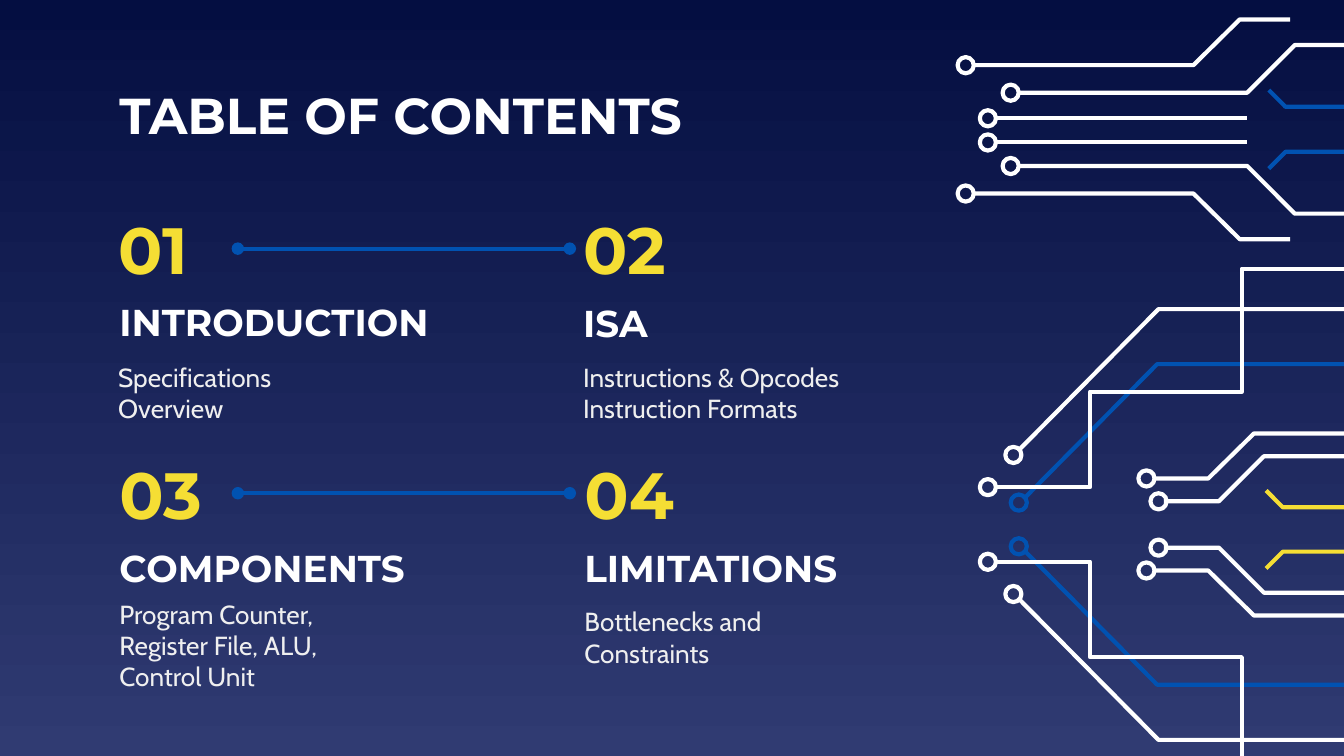
from lxml import etree
from pptx import Presentation
from pptx import util as u
from pptx.dml.color import RGBColor
from pptx.enum import shapes, text
from pptx.oxml.ns import qn

WIDTH = u.Inches(10)
HEIGHT = WIDTH * 9 // 16
CELL = WIDTH // 1000
BLEED = 1020
STROKE = u.Pt(2.25)
RING = 12

WHITE = RGBColor(0xFF, 0xFF, 0xFF)
SOFT = RGBColor(0xEF, 0xEF, 0xEF)
YELLOW = RGBColor(0xF5, 0xDE, 0x34)
BLUE = RGBColor(0x01, 0x52, 0xB1)
NIGHT = RGBColor(0x04, 0x0E, 0x41)
DUSK = RGBColor(0x30, 0x3B, 0x72)

SECTIONS = [
    (78, 156, "01", "INTRODUCTION", (79, 214, 276, 50), ["Specifications", "Overview"]),
    (424, 156, "02", "ISA", (424, 214, 241, 52),
     ["Instructions & Opcodes", "Instruction Formats"]),
    (79, 338, "03", "COMPONENTS", (79, 396, 241, 52),
     ["Program Counter,", "Register File, ALU,", "Control Unit"]),
    (425, 338, "04", "LIMITATIONS", (425, 396, 241, 52),
     ["Bottlenecks and", "Constraints"]),
]

UPPER_AXIS, CENTER_AXIS, LOWER_AXIS, ACCENT_AXIS = 96.25, 97, 390.25, 394

TRACES = [
    (LOWER_AXIS, WHITE, (853, 356),
     [(858, 356), (899, 356), (933, 322.5), (BLEED, 322.5)]),
    (LOWER_AXIS, WHITE, (862, 373),
     [(866, 373), (907, 373), (940.5, 339.5), (BLEED, 339.5)]),
    (ACCENT_AXIS, YELLOW, None, [(942, 365), (954.5, 377.5), (1011, 377.5)]),
    (UPPER_AXIS, BLUE, None, [(944, 67), (956.5, 79.5), (1013, 79.5)]),
    (LOWER_AXIS, BLUE, (758, 374), [(762, 371), (861, 271), (1019, 271)]),
    (LOWER_AXIS, WHITE, (735, 362.5),
     [(741, 362.5), (811, 362.5), (811, 291.5), (924, 291.5), (924, 200), (BLEED, 200)]),
    (LOWER_AXIS, WHITE, (754, 338.5), [(758, 335), (862, 230), (BLEED, 230)]),
    (UPPER_AXIS, WHITE, (718.5, 48.5),
     [(724, 48.5), (888, 48.5), (922.5, 14.5), (960, 14.5)]),
    (UPPER_AXIS, WHITE, (752, 69),
     [(758, 69), (928, 69), (963.5, 33.5), (1025, 33.5)]),
    (CENTER_AXIS, WHITE, (735, 88), [(741, 88), (928, 88)]),
]


def grid(*cells):
    return [round(cell * CELL) for cell in cells]


def paint_background(page):
    fill = page.background.fill
    fill.gradient()
    fill.gradient_angle = 270
    for stop, color, position in zip(fill.gradient_stops, (NIGHT, DUSK), (0, 1)):
        stop.color.rgb = color
        stop.position = position


def add_text(page, place, lines, font, size, color, bold=False):
    box = page.shapes.add_textbox(*grid(*place))
    frame = box.text_frame
    frame.word_wrap = True
    frame.vertical_anchor = text.MSO_ANCHOR.MIDDLE
    frame.margin_left = frame.margin_right = u.Inches(0.1)
    frame.margin_top = frame.margin_bottom = u.Inches(0.1)
    for index, line in enumerate(lines):
        para = frame.add_paragraph() if index else frame.paragraphs[0]
        span = para.add_run()
        span.text = line
        span.font.name = font
        span.font.size = u.Pt(size)
        span.font.bold = bold
        span.font.color.rgb = color


def add_section(page, column, row, number, heading, heading_place, lines):
    body_height = 58 if len(lines) < 3 else 70
    add_text(page, (column, row, 99, 58), [number], "Montserrat", 35, YELLOW, True)
    add_text(page, heading_place, [heading], "Montserrat", 20, WHITE, True)
    add_text(page, (column, row + 107, 241, body_height), lines, "Cabin", 14, SOFT)


def add_dotted_link(page, row):
    link = page.shapes.add_connector(
        shapes.MSO_CONNECTOR.STRAIGHT, *grid(177, row, 424, row))
    link.line.color.rgb = BLUE
    link.line.width = STROKE
    outline = link._element.spPr.find(qn("a:ln"))
    for end in ("a:headEnd", "a:tailEnd"):
        etree.SubElement(outline, qn(end), type="oval")
    etree.SubElement(link._element.spPr, qn("a:effectLst"))


def outline_only(shape, color):
    shape.shadow.inherit = False
    shape.fill.background()
    shape.line.color.rgb = color
    shape.line.width = STROKE


def add_trace(page, color, points):
    corners = [grid(*point) for point in points]
    builder = page.shapes.build_freeform(*corners[0])
    builder.add_line_segments(corners[1:], close=False)
    outline_only(builder.convert_to_shape(), color)


def add_ring(page, color, center):
    x, y = center
    ring = page.shapes.add_shape(
        shapes.MSO_SHAPE.OVAL, *grid(x - RING / 2, y - RING / 2, RING, RING))
    outline_only(ring, color)


def add_mirrored_circuit(page, axis, color, ring, points):
    for flip in (False, True):
        def place(point):
            x, y = point
            return (x, 2 * axis - y) if flip else point

        add_trace(page, color, [place(point) for point in points])
        if ring:
            add_ring(page, color, place(ring))


def main():
    deck = Presentation()
    deck.slide_width, deck.slide_height = WIDTH, HEIGHT
    page = deck.slides.add_slide(deck.slide_layouts[6])
    paint_background(page)
    for trace in TRACES:
        add_mirrored_circuit(page, *trace)
    add_text(page, (79, 59, 587, 52), ["TABLE OF CONTENTS"], "Montserrat", 27, WHITE, True)
    for section in SECTIONS:
        add_section(page, *section)
    for row in (185, 367):
        add_dotted_link(page, row)
    deck.save("out.pptx")


main()
